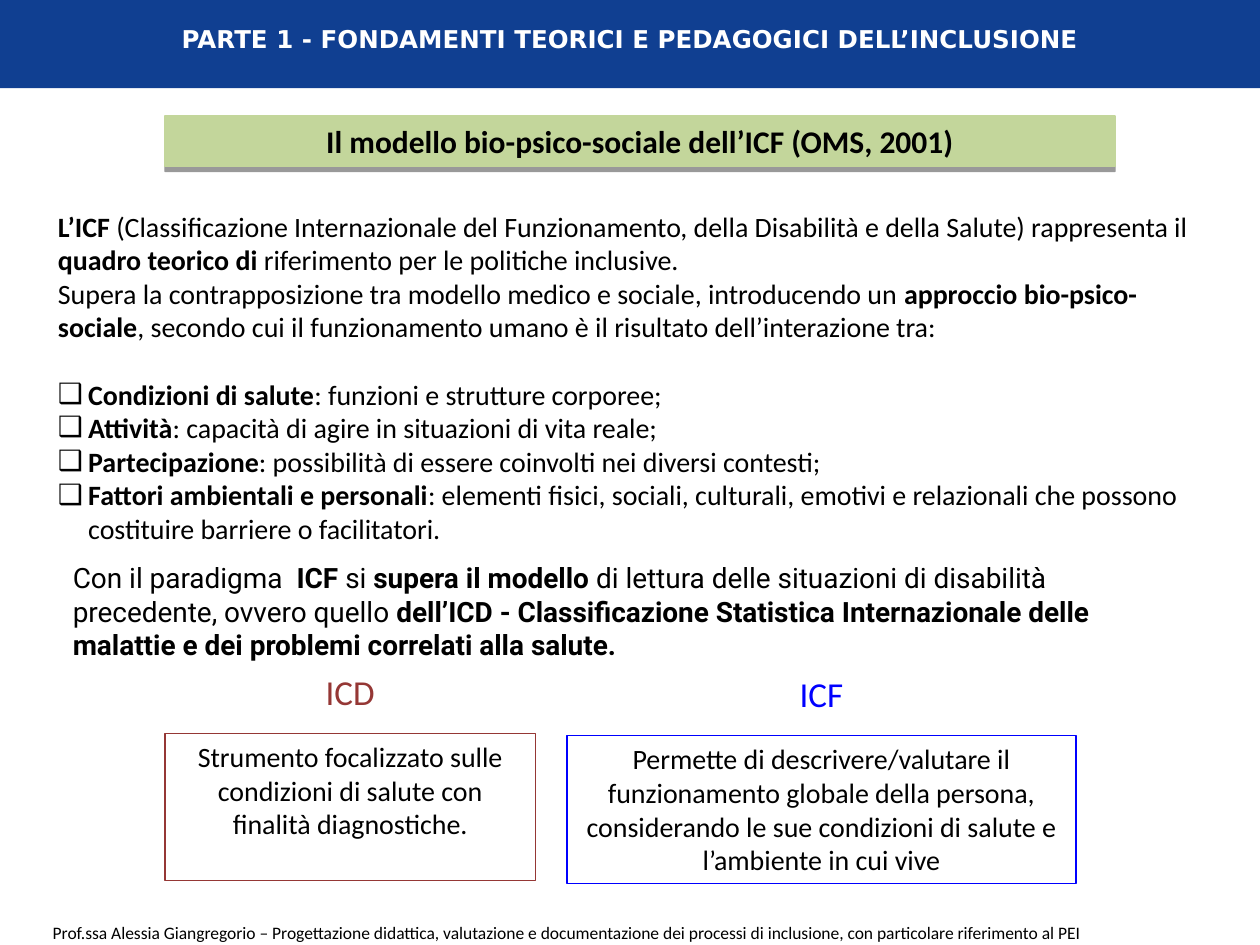
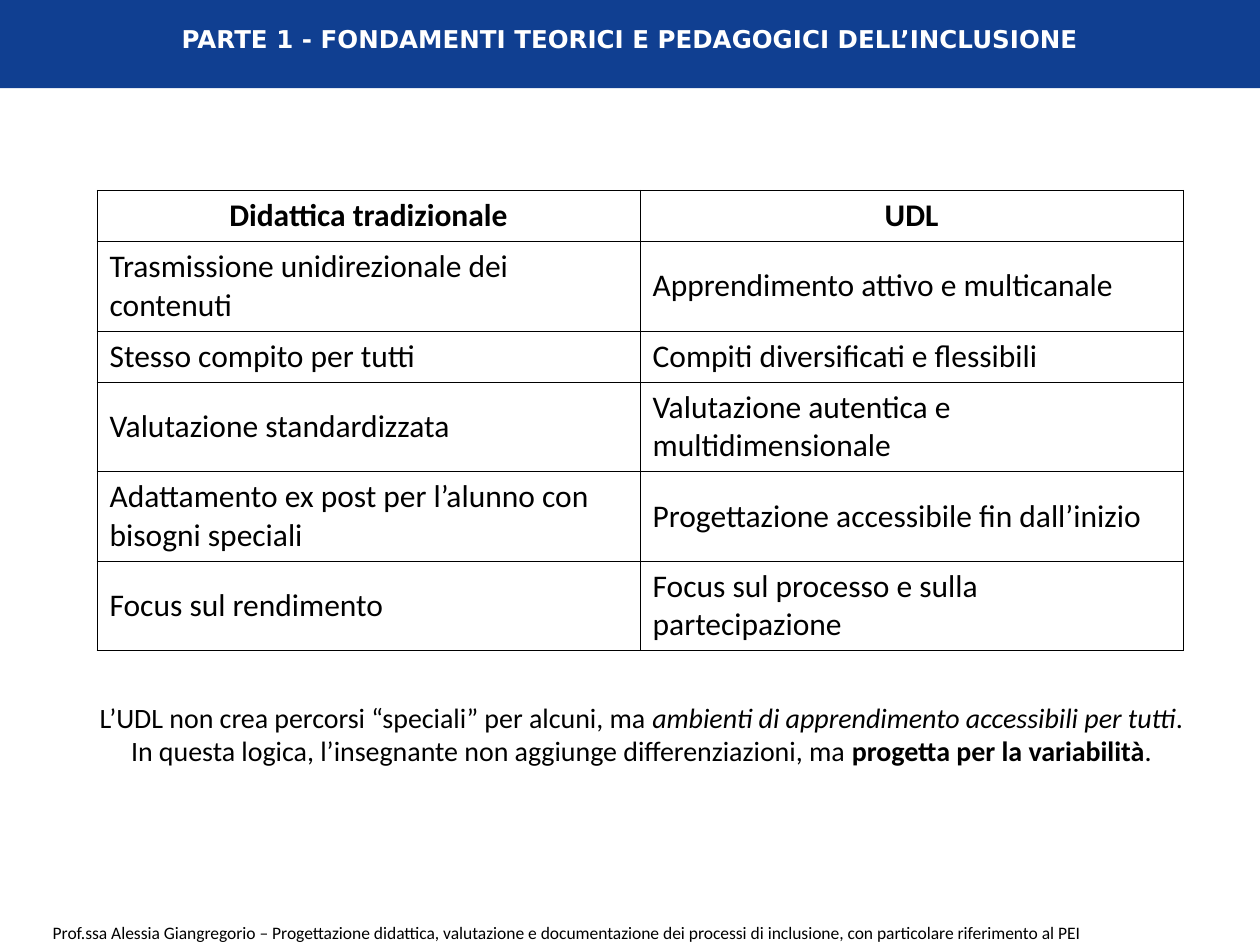
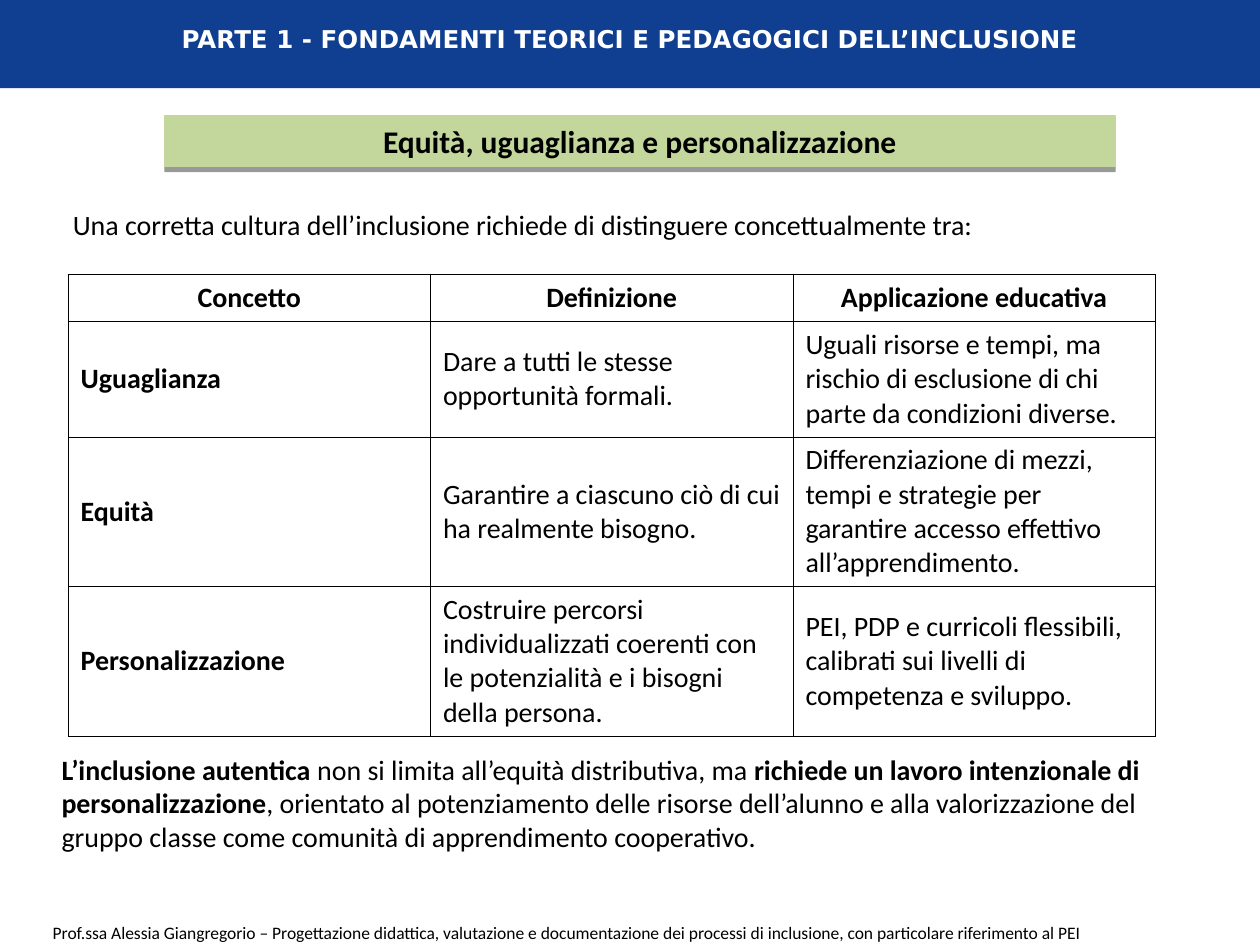
from lxml import etree
from pptx import Presentation
from pptx import util as u
from pptx.dml.color import RGBColor
from pptx.enum import shapes, text
from pptx.oxml import parse_xml
from pptx.oxml.ns import qn

NS = 'xmlns:a="http://schemas.openxmlformats.org/drawingml/2006/main"'
BLUE, GREEN, RED, ICF_BLUE = "103F91", "C3D69B", "953735", "0000FF"
BLACK, WHITE = "000000", "FFFFFF"
B, I = {"bold": True}, {"italic": True}
LEFT, CENTER = text.PP_ALIGN.LEFT, text.PP_ALIGN.CENTER
TOP, MIDDLE = text.MSO_ANCHOR.TOP, text.MSO_ANCHOR.MIDDLE

HEADER = "PARTE 1 - FONDAMENTI TEORICI E PEDAGOGICI DELL’INCLUSIONE"
FOOTER = ("Prof.ssa Alessia Giangregorio – Progettazione didattica, valutazione e documentazione "
          "dei processi di inclusione, con particolare riferimento al PEI")
BANNER_BOX = (1.31, 0.92, 7.54, 0.4)


def rgb(value):
    return RGBColor.from_string(value)


def inches(box):
    return [u.Inches(v) for v in box]


def set_font(font, color=BLACK, size=16, name="Calibri", **style):
    values = {"name": name, "size": u.Pt(size), "bold": False, "italic": False, **style}
    for key, value in values.items():
        setattr(font, key, value)
    font.color.rgb = rgb(color)


def set_bullet(p, char="❑", indent=0.24):
    pPr = p._p.get_or_add_pPr()
    pPr.set("marL", str(u.Inches(indent) if char else 0))
    pPr.set("indent", str(-u.Inches(indent) if char else 0))
    bullet = etree.SubElement(pPr, qn("a:buChar" if char else "a:buNone"))
    if char:
        bullet.set("char", char)


def write(tf, paragraphs, align=LEFT, anchor=TOP, wrap=True, **style):
    frame = {"word_wrap": wrap, "auto_size": text.MSO_AUTO_SIZE.NONE, "vertical_anchor": anchor,
             "margin_left": u.Inches(0.1), "margin_right": u.Inches(0.1),
             "margin_top": u.Inches(0.05), "margin_bottom": u.Inches(0.05)}
    for key, value in frame.items():
        setattr(tf, key, value)
    for i, pieces in enumerate(paragraphs):
        p = tf.paragraphs[0] if i == 0 else tf.add_paragraph()
        p.alignment, p.space_before = align, u.Pt(0)
        for piece in [pieces] if isinstance(pieces, str) else pieces:
            content, extra = (piece, {}) if isinstance(piece, str) else piece
            r = p.add_run()
            r.text = content
            set_font(r.font, **{**style, **extra})


def add_text(s, box, paragraphs, **style):
    sp = s.shapes.add_textbox(*inches(box))
    write(sp.text_frame, paragraphs, **style)
    return sp


def add_rect(s, box, fill=None, line=None):
    sp = s.shapes.add_shape(shapes.MSO_SHAPE.RECTANGLE, *inches(box))
    sp.shadow.inherit = False
    if fill:
        sp.fill.solid()
        sp.fill.fore_color.rgb = rgb(fill)
    else:
        sp.fill.background()
    if line:
        sp.line.color.rgb = rgb(line)
        sp.line.width = u.Pt(0.75)
    else:
        sp.line.fill.background()
    return sp


def move_to_master(prs, *parts):
    for part in parts:
        prs.slide_master.shapes.element.append(part.element)


def add_slide(prs, layout):
    s = prs.slides.add_slide(prs.slide_layouts[layout])
    title = s.shapes.title
    title.left, title.top, title.width, title.height = inches((0, 0.14, 10, 0.34))
    write(title.text_frame, [HEADER], align=CENTER, anchor=MIDDLE,
          color=WHITE, size=14, name="DejaVu Sans", bold=True)
    return s


def add_banner(s, label):
    sp = add_rect(s, BANNER_BOX, GREEN, GREEN)
    effects = sp._element.spPr.find(qn("a:effectLst"))
    effects.append(parse_xml(
        f'<a:outerShdw {NS} blurRad="0" dist="{u.Pt(3)}" dir="5400000" rotWithShape="0">'
        f'<a:srgbClr val="{BLACK}"><a:alpha val="40000"/></a:srgbClr></a:outerShdw>'))
    write(sp.text_frame, [label], align=CENTER, anchor=MIDDLE, size=18, bold=True)


def add_grid(s, box, heights, rows, size, bold_first_column=False):
    table = s.shapes.add_table(len(rows), len(rows[0]), *inches(box)).table
    table.first_row = table.horz_banding = False
    for row, height in zip(table.rows, heights):
        row.height = u.Inches(height)
    for i, values in enumerate(rows):
        for j, value in enumerate(values):
            cell = table.cell(i, j)
            tcPr = cell._tc.get_or_add_tcPr()
            for side in "LRTB":
                tcPr.append(parse_xml(
                    f'<a:ln{side} {NS} w="{u.Pt(0.45)}"><a:solidFill>'
                    f'<a:srgbClr val="{BLACK}"/></a:solidFill></a:ln{side}>'))
            cell.fill.background()
            cell.vertical_anchor = MIDDLE
            p = cell.text_frame.paragraphs[0]
            p.alignment = LEFT if i else CENTER
            r = p.add_run()
            r.text = value
            set_font(r.font, size=size, bold=i == 0 or (bold_first_column and j == 0))


def add_model(s, label, color, box, description):
    left, top, width, height = box
    add_text(s, (left, top - 0.55, width, 0.44), [label], align=CENTER, color=color, size=20)
    write(add_rect(s, box, line=color).text_frame, [description], align=CENTER)


def icf_slide(prs):
    s = add_slide(prs, 1)
    add_banner(s, "Il modello bio-psico-sociale dell’ICF (OMS, 2001)")
    intro = [
        [("L’ICF ", B), "(Classificazione Internazionale del Funzionamento, della Disabilità e "
         "della Salute) rappresenta il ", ("quadro teorico di ", B),
         "riferimento per le politiche inclusive."],
        ["Supera la contrapposizione tra modello medico e sociale, introducendo un ",
         ("approccio bio-psico-sociale", B),
         ", secondo cui il funzionamento umano è il risultato dell’interazione tra:"]]
    factors = [
        ("Condizioni di salute", "funzioni e strutture corporee;"),
        ("Attività", "capacità di agire in situazioni di vita reale;"),
        ("Partecipazione", "possibilità di essere coinvolti nei diversi contesti;"),
        ("Fattori ambientali e personali", "elementi fisici, sociali, culturali, emotivi e "
         "relazionali che possono costituire barriere o facilitatori.")]
    body = s.placeholders[1]
    body.left, body.top, body.width, body.height = inches((0.36, 1.61, 9.24, 2.77))
    tf = body.text_frame
    write(tf, intro + [[(name, B), f": {meaning}"] for name, meaning in factors])
    for i, p in enumerate(tf.paragraphs):
        set_bullet(p, "❑" if i >= len(intro) else None)
    tf.paragraphs[len(intro)].space_before = u.Pt(19.2)

    add_text(s, (0.48, 4.4, 8.5, 0.9), [
        ["Con il paradigma  ", ("ICF ", B), "si ", ("supera il modello ", B),
         "di lettura delle situazioni di disabilità precedente, ovvero quello ",
         ("dell’ICD - Classificazione Statistica Internazionale delle malattie "
          "e dei problemi correlati alla salute.", B)]], name="Roboto")
    add_model(s, "ICD", RED, (1.31, 5.82, 2.94, 1.17),
              "Strumento focalizzato sulle condizioni di salute con finalità diagnostiche.")
    add_model(s, "ICF", ICF_BLUE, (4.5, 5.84, 4.04, 1.17),
              "Permette di descrivere/valutare il funzionamento globale della persona, "
              "considerando le sue condizioni di salute e l’ambiente in cui vive")
    return s


def udl_slide(prs):
    s = add_slide(prs, 5)
    add_grid(s, (0.77, 1.51, 8.62, 3.6), [0.4, 0.7, 0.4, 0.7, 0.7, 0.7], [
        ("Didattica tradizionale", "UDL"),
        ("Trasmissione unidirezionale dei contenuti", "Apprendimento attivo e multicanale"),
        ("Stesso compito per tutti", "Compiti diversificati e flessibili"),
        ("Valutazione standardizzata", "Valutazione autentica e multidimensionale"),
        ("Adattamento ex post per l’alunno con bisogni speciali",
         "Progettazione accessibile fin dall’inizio"),
        ("Focus sul rendimento", "Focus sul processo e sulla partecipazione")], size=18)
    add_text(s, (0.64, 5.51, 8.9, 0.64), [
        ["L’UDL non crea percorsi “speciali” per alcuni, ma ",
         ("ambienti di apprendimento accessibili per tutti", I), "."],
        ["In questa logica, l’insegnante non aggiunge differenziazioni, ma ",
         ("progetta per la variabilità", B), "."]], align=CENTER)


def equity_slide(prs):
    s = add_slide(prs, 5)
    add_banner(s, "Equità, uguaglianza e personalizzazione")
    add_text(s, (0.48, 1.6, 9.2, 0.4), [
        "Una corretta cultura dell’inclusione richiede di distinguere concettualmente tra:"])
    add_grid(s, (0.54, 2.18, 8.63, 3.6), [0.37, 0.9, 1.17, 1.17], [
        ("Concetto", "Definizione", "Applicazione educativa"),
        ("Uguaglianza", "Dare a tutti le stesse opportunità formali.",
         "Uguali risorse e tempi, ma rischio di esclusione di chi parte da condizioni diverse."),
        ("Equità", "Garantire a ciascuno ciò di cui ha realmente bisogno.",
         "Differenziazione di mezzi, tempi e strategie per garantire accesso effettivo "
         "all’apprendimento."),
        ("Personalizzazione", "Costruire percorsi individualizzati coerenti con le potenzialità "
         "e i bisogni della persona.",
         "PEI, PDP e curricoli flessibili, calibrati sui livelli di competenza e sviluppo.")],
        size=16, bold_first_column=True)
    add_text(s, (0.39, 5.92, 8.93, 0.9), [
        [("L’inclusione autentica ", B), "non si limita all’equità distributiva, ma ",
         ("richiede un lavoro intenzionale di personalizzazione", B),
         ", orientato al potenziamento delle risorse dell’alunno e alla valorizzazione del "
         "gruppo classe come comunità di apprendimento cooperativo."]])


def main():
    prs = Presentation()
    prs.slide_width, prs.slide_height = u.Inches(10), u.Inches(7.5)
    s = icf_slide(prs)
    move_to_master(prs, add_rect(s, (0, 0, 10, 0.7), BLUE),
                   add_text(s, (0.32, 7.27, 8.39, 0.27), [FOOTER], wrap=False, size=10))
    udl_slide(prs)
    equity_slide(prs)
    prs.save("out.pptx")


if __name__ == "__main__":
    main()
